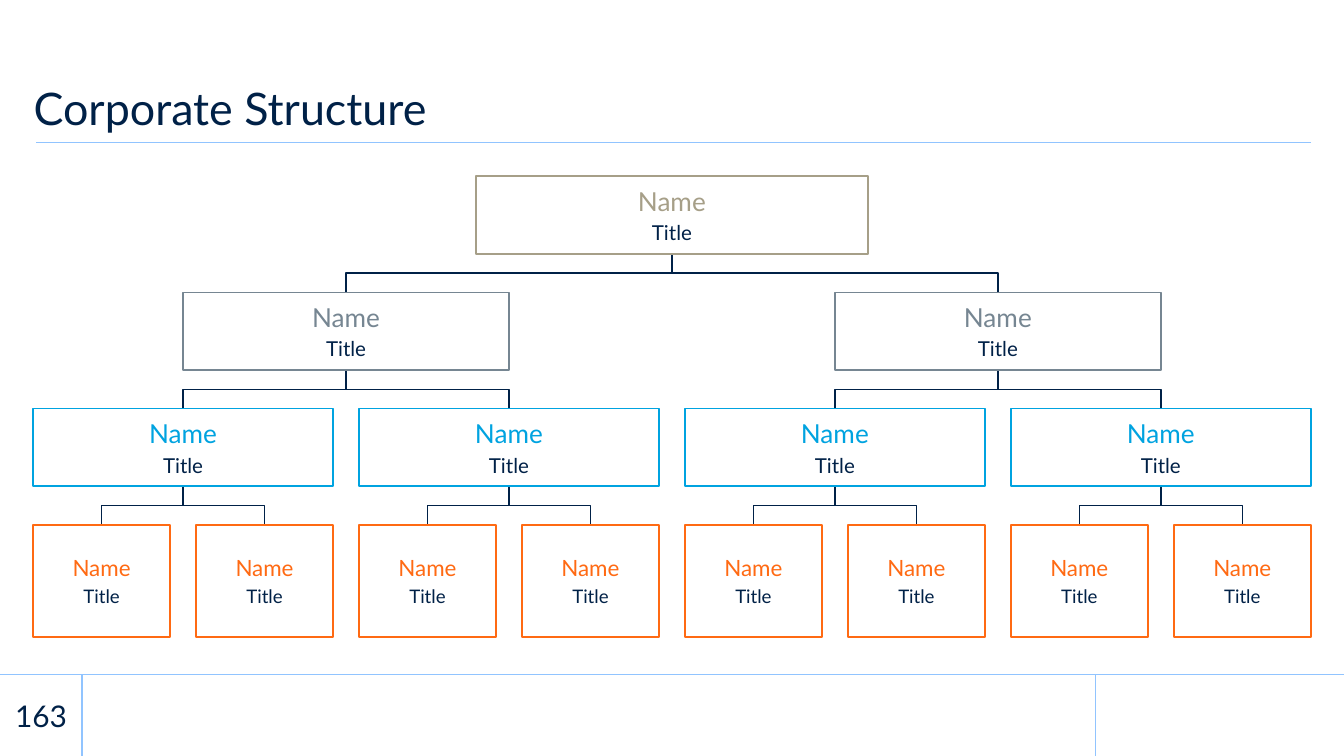
from dataclasses import dataclass
from lxml.etree import SubElement
from pptx import Presentation
from pptx.dml.color import RGBColor
from pptx.enum.shapes import MSO_CONNECTOR, MSO_SHAPE
from pptx.enum.text import MSO_ANCHOR, PP_ALIGN
from pptx.oxml.ns import qn
from pptx.util import Pt


@dataclass(frozen=True)
class Theme:
    face: str = "Lato"
    navy: str = "002147"
    sky: str = "91C4FF"
    white: str = "FFFFFF"
    sand: str = "A69F88"
    slate: str = "768692"
    blue: str = "00A3E0"
    orange: str = "FF6A13"
    head: int = 24
    page: int = 16
    large: tuple = (14, 11)
    small: tuple = (12, 10)
    rule: float = 0.75
    edge: float = 1


def apply(obj, form):
    for key, value in form.items():
        setattr(obj, key, value)


class Painter:
    def __init__(self, slide, theme):
        self.shapes = slide.shapes
        self.theme = theme

    def label(self, para, words, size, color, form):
        apply(para, form)
        run = para.add_run()
        run.text = words
        apply(run.font, {"name": self.theme.face, "size": Pt(size)})
        run.font.color.rgb = RGBColor.from_string(color)

    def text(self, area, words, size, frame, form):
        box = self.shapes.add_textbox(*map(Pt, area)).text_frame
        margins = {f"margin_{side}": 0 for side in ("left", "top", "right", "bottom")}
        apply(box, margins | frame)
        self.label(box.paragraphs[0], words, size, self.theme.navy, form)

    def rect(self, area):
        shape = self.shapes.add_shape(MSO_SHAPE.RECTANGLE, *map(Pt, area))
        shape.shadow.inherit = False
        return shape

    def panel(self, area, alpha=100):
        """Add a white footer panel with alpha as percent of opacity."""
        shape = self.rect(area)
        shape.fill.solid()
        shape.fill.fore_color.rgb = RGBColor.from_string(self.theme.white)
        shape.line.fill.background()
        if alpha < 100:
            color = shape._element.spPr.find(qn("a:solidFill"))[0]
            SubElement(color, qn("a:alpha"), val=str(alpha * 1000))

    def card(self, area, color, sizes):
        shape = self.rect(area)
        shape.fill.background()
        shape.line.color.rgb = RGBColor.from_string(color)
        shape.line.width = Pt(self.theme.edge)
        frame = shape.text_frame
        apply(frame, {"word_wrap": True, "vertical_anchor": MSO_ANCHOR.MIDDLE})
        form = {"alignment": PP_ALIGN.CENTER, "space_after": Pt(2)}
        paras = frame.paragraphs[0], frame.add_paragraph()
        for para, words, size, ink in zip(
            paras, ("Name", "Title"), sizes, (color, self.theme.navy)
        ):
            self.label(para, words, size, ink, form)

    def line(self, ends, color, kind=MSO_CONNECTOR.STRAIGHT):
        line = self.shapes.add_connector(kind, *map(Pt, ends))
        line.line.color.rgb = RGBColor.from_string(color)
        line.line.width = Pt(self.theme.rule)
        SubElement(line._element.spPr, qn("a:effectLst"))
        return line

    def branch(self, x, y, to_x, to_y):
        """Join parent to child: down, across, down, as a turned elbow."""
        mid_x, mid_y = (x + to_x) / 2, (y + to_y) / 2
        right = to_x > x
        half = (to_y - y) / 2 * (-1 if right else 1)
        span = abs(to_x - x) / 2
        ends = mid_x - half, mid_y - span, mid_x + half, mid_y + span
        elbow = self.line(ends, self.theme.navy, MSO_CONNECTOR.ELBOW)
        turn = 270 if right else 90
        elbow._element.spPr.find(qn("a:xfrm")).set("rot", str(turn * 60000))


def footer(pen, theme):
    top, wide, low = 361.2, 720, 405
    tall = low - top
    pen.panel((0, top, wide, tall), 85)
    pen.panel((587, top, wide - 587, tall))
    pen.line((wide, top, 0, top), theme.sky)
    for x in (587, 44):
        pen.line((x, low, x, top), theme.sky)
    pen.text((0, top, 44, tall), "163", theme.page,
             {"word_wrap": False, "vertical_anchor": MSO_ANCHOR.MIDDLE},
             {"alignment": PP_ALIGN.CENTER})


def header(pen, theme):
    pen.line((702.4, 76.2, 19.4, 76.2), theme.sky)
    pen.text((18, 18.7, 684, 57.5), "Corporate Structure", theme.head,
             {"word_wrap": True, "vertical_anchor": MSO_ANCHOR.BOTTOM,
              "margin_bottom": Pt(3.6)},
             {"line_spacing": 0.9})


def chart(pen, theme):
    """Draw a binary tree whose rows share one centre and one step."""
    middle, first, step, pitch = 360, 94.5, 62.2, 87.3
    rows = [
        (210, 41.5, theme.sand, theme.large),
        (174.6, 41.5, theme.slate, theme.large),
        (160.6, 41.5, theme.blue, theme.large),
        (73.3, 60.3, theme.orange, theme.small),
    ]
    tops = [first + step * i for i in range(len(rows))]
    mids = []
    for level in range(len(rows)):
        count = 2 ** level
        gap = pitch * 8 / count
        mids.append([middle + (i - (count - 1) / 2) * gap for i in range(count)])

    for level in range(1, len(rows)):
        base = tops[level - 1] + rows[level - 1][1]
        for i, x in enumerate(mids[level]):
            pen.branch(mids[level - 1][i // 2], base, x, tops[level])
    for (wide, tall, color, sizes), top, row in zip(rows, tops, mids):
        for x in row:
            pen.card((x - wide / 2, top, wide, tall), color, sizes)


def main():
    deck = Presentation()
    apply(deck, {"slide_width": Pt(720), "slide_height": Pt(405)})
    theme = Theme()
    pen = Painter(deck.slides.add_slide(deck.slide_layouts[6]), theme)
    footer(pen, theme)
    header(pen, theme)
    chart(pen, theme)
    deck.save("out.pptx")


if __name__ == "__main__":
    main()
